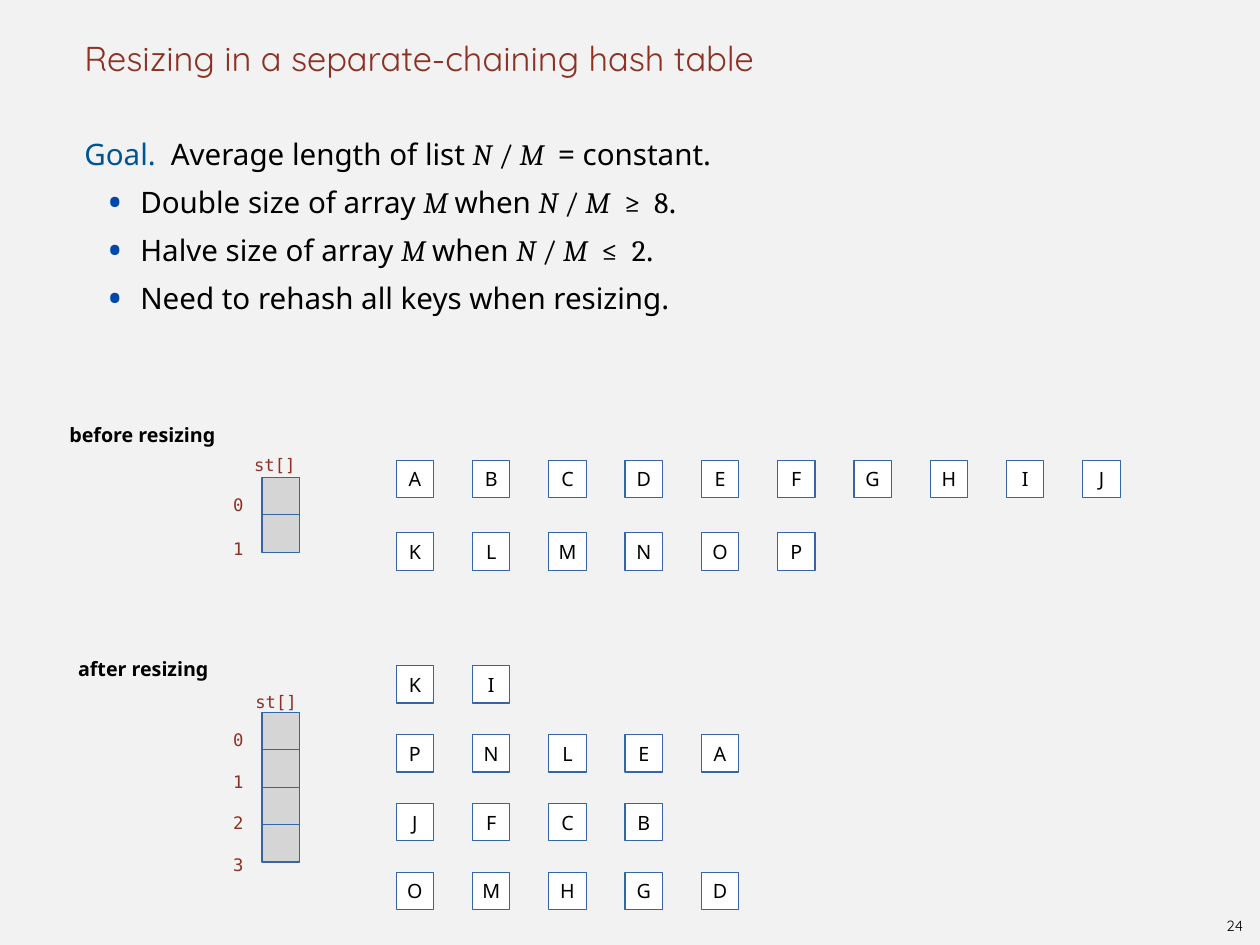
import pptx
import pptx.dml.color
import pptx.enum.shapes
import pptx.enum.text
import pptx.oxml
import pptx.oxml.ns
import pptx.util

Pt = pptx.util.Pt
ALIGN = pptx.enum.text.PP_ALIGN
ANCHOR = pptx.enum.text.MSO_ANCHOR

SANS, SERIF, MONO, TITLE = "Noto Sans", "Cambria", "DejaVu Sans Mono", "Quicksand"
BLACK, RED, BLUE = "000000", "8D3124", "005493"
BULLET_BLUE, OUTLINE = "0048AA", "3465A4"

CELL = 30.4
KEY_LEFT, KEY_PITCH = 322, 62
ARRAY_LEFT, INDEX_LEFT = 213, 185


def color(value):
    return pptx.dml.color.RGBColor.from_string(value)


def write(p, text, font=SANS, size=24, fill=BLACK, bold=False, italic=False, spacing=0):
    """Append a run to p; spacing widens each letter, in points."""
    r = p.add_run()
    r.text = text
    r.font.name = font
    r.font.size = Pt(size)
    r.font.color.rgb = color(fill)
    r.font.bold = bold
    r.font.italic = italic
    if spacing:
        r._r.get_or_add_rPr().set("spc", str(spacing * 100))


def prepare_frame(sp, anchor=ANCHOR.TOP):
    tf = sp.text_frame
    tf.margin_left = tf.margin_right = tf.margin_top = tf.margin_bottom = 0
    tf.word_wrap = True
    tf.vertical_anchor = anchor
    return tf


def indent(p, left, first=0):
    pPr = p._p.get_or_add_pPr()
    pPr.set("marL", str(Pt(left)))
    pPr.set("indent", str(Pt(first)))


def add_bullet(p):
    pPr = p._p.get_or_add_pPr()
    ns = pptx.oxml.ns.nsdecls("a")
    for xml in (
        f'<a:buClr {ns}><a:srgbClr val="{BULLET_BLUE}"/></a:buClr>',
        f'<a:buSzPct {ns} val="140000"/>',
        f'<a:buFont {ns} typeface="{SANS}"/>',
        f'<a:buChar {ns} char="•"/>',
    ):
        pPr.append(pptx.oxml.parse_xml(xml))


def add_label(s, left, top, width, height, text, anchor=ANCHOR.TOP,
              align=ALIGN.LEFT, line_spacing=1.5, **fmt):
    sp = s.shapes.add_textbox(Pt(left), Pt(top), Pt(width), Pt(height))
    p = prepare_frame(sp, anchor).paragraphs[0]
    p.alignment = align
    p.line_spacing = line_spacing
    if align == ALIGN.LEFT:
        indent(p, 4.5)
    write(p, text, **fmt)


def add_cell(s, left, top, fill, key=""):
    sp = s.shapes.add_shape(pptx.enum.shapes.MSO_SHAPE.RECTANGLE,
                            Pt(left), Pt(top), Pt(CELL), Pt(CELL))
    sp.shadow.inherit = False
    sp.fill.solid()
    sp.fill.fore_color.rgb = color(fill)
    sp.line.color.rgb = color(OUTLINE)
    sp.line.width = Pt(1)
    if key:
        p = prepare_frame(sp, ANCHOR.MIDDLE).paragraphs[0]
        p.alignment = ALIGN.CENTER
        write(p, key, size=16)


def add_goal(s):
    tf = prepare_frame(s.shapes.add_textbox(Pt(64), Pt(100), Pt(896), Pt(640)))
    math, gap = {"font": SERIF}, (" ", {"font": SERIF, "spacing": 6})
    var = {"font": SERIF, "italic": True}
    ratio = [("N", var), (" / ", math), ("M", var), gap]

    def resize_rule(action, sign, limit):
        return [(f"{action} size of array ", {}), ("M ", var), ("when ", {}), *ratio,
                (sign, math), gap, (limit, math), (".", {})]

    lines = [
        [("Goal.", {"fill": BLUE}), (" ", {"spacing": 6}),
         ("Average length of list ", {}), *ratio, ("= constant.", {})],
        resize_rule("Double", "≥", "8"),
        resize_rule("Halve", "≤", "2"),
        [("Need to rehash all keys when resizing.", {})],
    ]
    for i, runs in enumerate(lines):
        p = tf.add_paragraph() if i else tf.paragraphs[0]
        p.line_spacing = Pt(39)
        if i:
            p.level = 1
            indent(p, 50, -27)
            add_bullet(p)
        else:
            indent(p, 4.5)
        for text, fmt in runs:
            write(p, text, **fmt)


def add_hash_table(s, array_top, name_left, name_top, index_pitch, key_top, key_pitch, chains):
    """Draw the st[] array with its indices, and one row of keys per chain."""
    for i, keys in enumerate(chains):
        add_cell(s, ARRAY_LEFT, array_top + i * CELL, "D5D5D5")
        add_label(s, INDEX_LEFT, array_top + 5 + i * index_pitch, 22, 24, str(i),
                  font=MONO, size=14, fill=RED)
        for j, key in enumerate(keys):
            add_cell(s, KEY_LEFT + j * KEY_PITCH, key_top + i * key_pitch, "FFFFFF", key)
    add_label(s, name_left, name_top, 48, 24, "st[]", font=MONO, size=14, fill=RED)


def main():
    prs = pptx.Presentation()
    prs.slide_width, prs.slide_height = Pt(1024), Pt(768)
    s = prs.slides.add_slide(prs.slide_layouts[6])
    s.background.fill.solid()
    s.background.fill.fore_color.rgb = color("F2F2F2")

    add_label(s, 64, 0, 896, 64, "Resizing in a separate-chaining hash table",
              anchor=ANCHOR.BOTTOM, line_spacing=1, font=TITLE, size=28, fill=RED)
    add_goal(s)
    add_label(s, 52, 334, 139, 26, "before resizing", size=16, bold=True)
    add_hash_table(s, 388, 202, 361, 36, 374, 59, ["ABCDEFGHIJ", "KLMNOP"])
    add_label(s, 59, 524, 125, 26, "after resizing", size=16, bold=True)
    add_hash_table(s, 579, 203, 553, 34, 541, 56, ["KI", "PNLEA", "JFCB", "OMHGD"])
    add_label(s, 991, 741, 25, 23, "24", anchor=ANCHOR.MIDDLE, align=ALIGN.CENTER,
              line_spacing=1, font=TITLE, size=12)
    prs.save("out.pptx")


if __name__ == "__main__":
    main()
